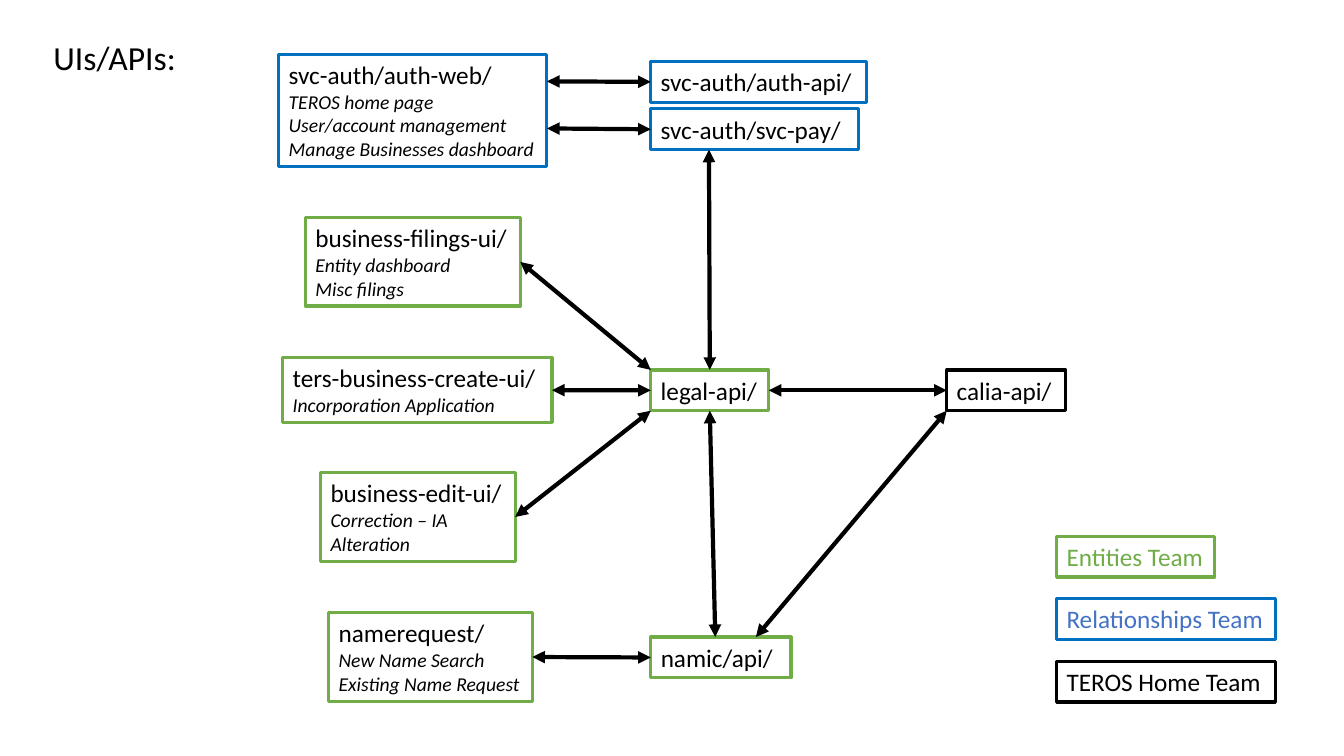
from dataclasses import dataclass

from lxml import etree
from pptx import Presentation
from pptx.dml.color import RGBColor
from pptx.enum.shapes import MSO_CONNECTOR, MSO_SHAPE
from pptx.enum.text import MSO_ANCHOR, MSO_AUTO_SIZE, PP_ALIGN
from pptx.oxml.ns import qn
from pptx.util import Inches, Pt

RECT, STRAIGHT = MSO_SHAPE.RECTANGLE, MSO_CONNECTOR.STRAIGHT
TOP, LEFT, GROW = MSO_ANCHOR.TOP, PP_ALIGN.LEFT, MSO_AUTO_SIZE.SHAPE_TO_FIT_TEXT

GREEN, BLUE, BLACK, WHITE = "70AD47", "0070C0", "000000", "FFFFFF"
LEGEND_BLUE = "4472C4"

# Grid: ten columns and ten rows to the inch
CELL = Inches(0.1)
NAME_ROWS, DETAIL_ROWS = 4.05, 2.36
API_COL, LEGEND_COL = 64.55, 104.8
LEGEND_ROW, LEGEND_STEP = 53.2, 6.2

HEADING = {"size": Pt(24), "name": "Calibri"}
NAME = {"size": Pt(18), "name": "Calibri"}
DETAIL = {"size": Pt(14), "name": "Calibri", "italic": True}
FRAME = {"word_wrap": False, "auto_size": GROW, "vertical_anchor": TOP}

# Connection sites of a rectangle, by share of its width and height
SITES = {(0.5, 0): 0, (0, 0.5): 1, (0.5, 1): 2, (1, 0.5): 3}


@dataclass(frozen=True)
class Box:
    name: str
    col: float
    row: float
    cols: float
    line: str
    details: tuple[str, ...] = ()
    color: str = BLACK


@dataclass(frozen=True)
class Link:
    start: str
    start_at: tuple[float, float]
    end: str
    end_at: tuple[float, float]


UIS = [
    Box("svc-auth/auth-web/", 27.65, 5.4, 26.6, BLUE,
        ("TEROS home page", "User/account management", "Manage Businesses dashboard")),
    Box("business-filings-ui/", 30.3, 21.6, 21.3, GREEN, ("Entity dashboard", "Misc filings")),
    Box("ters-business-create-ui/", 28.05, 35.5, 26.7, GREEN, ("Incorporation Application",)),
    Box("business-edit-ui/", 31.8, 46.9, 19.3, GREEN, ("Correction – IA", "Alteration")),
    Box("namerequest/", 32.6, 60.8, 20.2, GREEN, ("New Name Search", "Existing Name Request")),
]
APIS = [
    Box("svc-auth/auth-api/", API_COL, 6.1, 21.4, BLUE),
    Box("svc-auth/svc-pay/", API_COL, 10.8, 20.6, BLUE),
    Box("legal-api/", API_COL, 36.7, 11.7, GREEN),
    Box("namic/api/", API_COL, 63.2, 13.9, GREEN),
    Box("calia-api/", 93.9, 36.7, 11.8, BLACK),
]
TEAMS = [
    ("Entities Team", 15.7, GREEN, GREEN),
    ("Relationships Team", 21.7, BLUE, LEGEND_BLUE),
    ("TEROS Home Team", 21.7, BLACK, BLACK),
]
LEGEND = [
    Box(name, LEGEND_COL, LEGEND_ROW + i * LEGEND_STEP, cols, line, color=color)
    for i, (name, cols, line, color) in enumerate(TEAMS)
]
LINKS = [
    Link("svc-auth/auth-api/", (0, 0.5), "svc-auth/auth-web/", (1, 0.24)),
    Link("svc-auth/svc-pay/", (0, 0.5), "svc-auth/auth-web/", (1, 0.66)),
    Link("legal-api/", (0, 0), "business-filings-ui/", (1, 0.5)),
    Link("legal-api/", (0, 0.5), "ters-business-create-ui/", (1, 0.5)),
    Link("legal-api/", (0, 1), "business-edit-ui/", (1, 0.5)),
    Link("svc-auth/svc-pay/", (0.28, 1), "legal-api/", (0.5, 0)),
    Link("namic/api/", (0, 0.5), "namerequest/", (1, 0.5)),
    Link("calia-api/", (0, 0.5), "legal-api/", (1, 0.5)),
    Link("calia-api/", (0, 1), "namic/api/", (0.75, 0)),
    Link("legal-api/", (0.5, 1), "namic/api/", (0.46, 0)),
]


def grid(cells: float) -> int:
    return round(cells * CELL)


def rgb(value: str) -> RGBColor:
    return RGBColor.from_string(value)


def apply(target, values: dict) -> None:
    for key, value in values.items():
        setattr(target, key, value)


def write(sp, lines: list[tuple[str, dict]], color: str) -> None:
    tf = sp.text_frame
    apply(tf, FRAME)
    for i, (text, font) in enumerate(lines):
        p = tf.add_paragraph() if i else tf.paragraphs[0]
        p.alignment = LEFT
        r = p.add_run()
        r.text = text
        apply(r.font, font)
        r.font.color.rgb = rgb(color)


def draw_box(shapes, box: Box):
    rows = NAME_ROWS + DETAIL_ROWS * len(box.details)
    sp = shapes.add_shape(RECT, *map(grid, (box.col, box.row, box.cols, rows)))
    sp.shadow.inherit = False
    sp.fill.solid()
    sp.fill.fore_color.rgb = rgb(WHITE)
    sp.line.color.rgb = rgb(box.line)
    sp.line.width = Pt(2.25)
    write(sp, [(box.name, NAME)] + [(text, DETAIL) for text in box.details], box.color)
    return sp


def point(sp, share: tuple[float, float]) -> tuple[int, int]:
    return round(sp.left + share[0] * sp.width), round(sp.top + share[1] * sp.height)


def draw_link(shapes, link: Link, boxes: dict) -> None:
    start, end = boxes[link.start], boxes[link.end]
    cx = shapes.add_connector(STRAIGHT, *point(start, link.start_at), *point(end, link.end_at))
    if link.start_at in SITES:
        cx.begin_connect(start, SITES[link.start_at])
    if link.end_at in SITES:
        cx.end_connect(end, SITES[link.end_at])
    cx.line.color.rgb = rgb(BLACK)
    cx.line.width = Pt(3)
    ln = cx.line._get_or_add_ln()
    for tag in ("a:headEnd", "a:tailEnd"):
        etree.SubElement(ln, qn(tag), type="triangle")
    etree.SubElement(cx._element.spPr, qn("a:effectLst"))


prs = Presentation()
prs.slide_width, prs.slide_height = Inches(13.33), Inches(7.5)
s = prs.slides.add_slide(prs.slide_layouts[5])

# Title
title = s.shapes.title
apply(title, {"left": grid(4.3), "top": grid(3.2), "width": grid(14.2), "height": grid(5)})
write(title, [("UIs/APIs:", HEADING)], BLACK)

# Services and team legend
boxes = {box.name: draw_box(s.shapes, box) for box in UIS + APIS + LEGEND}

# Two-way links between services
for link in LINKS:
    draw_link(s.shapes, link, boxes)

prs.save("out.pptx")
